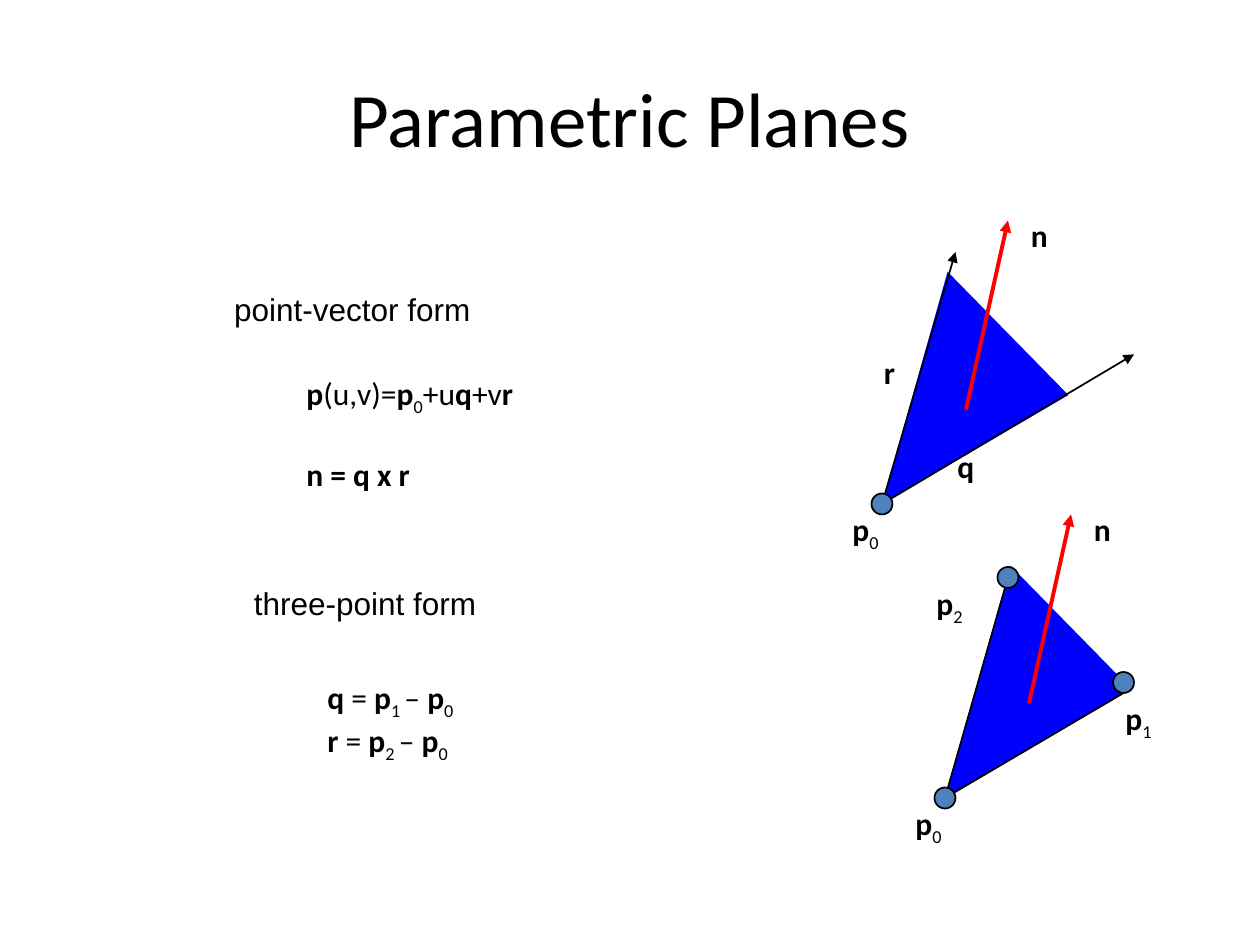
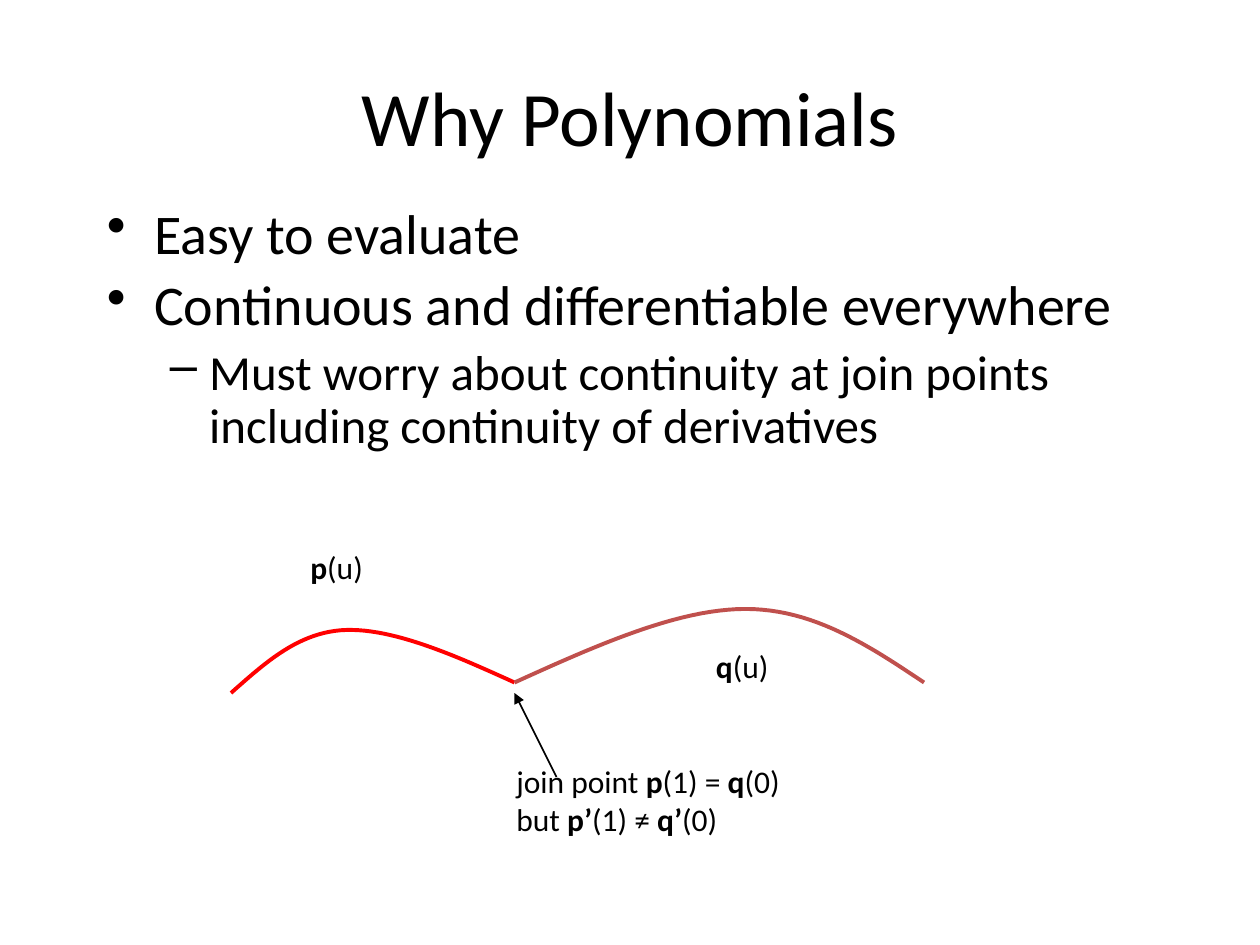
from lxml.etree import SubElement
from pptx import Presentation
from pptx.dml.color import RGBColor
from pptx.enum.shapes import MSO_CONNECTOR, MSO_SHAPE
from pptx.enum.text import MSO_ANCHOR, PP_ALIGN
from pptx.oxml.ns import qn
from pptx.util import Pt

PX = 9525  # EMU per px, 96 px to the inch
BLACK = RGBColor(0x00, 0x00, 0x00)
BLUE = RGBColor(0x00, 0x00, 0xFF)
STEEL = RGBColor(0x4F, 0x81, 0xBD)
RED = RGBColor(0xFF, 0x00, 0x00)
BRICK = RGBColor(0xC0, 0x50, 0x4D)

LABEL = {"name": "Calibri", "size": Pt(18)}
HEADING = {"name": "Arial", "size": Pt(18)}
TITLE = {"name": "Calibri", "size": Pt(44)}


def write_text(slide, box, paragraphs, style=LABEL):
    """Runs are split by |; a leading * means bold, a leading _ subscript."""
    frame = slide.shapes.add_textbox(*(v * PX for v in box)).text_frame
    frame.word_wrap = True
    for number, markup in enumerate(paragraphs):
        paragraph = frame.add_paragraph() if number else frame.paragraphs[0]
        for piece in markup.split("|"):
            run = paragraph.add_run()
            run.text = piece.lstrip("*_")
            run.font.color.rgb = BLACK
            for name, value in style.items():
                setattr(run.font, name, value)
            run.font.bold = piece.startswith("*")
            if piece.startswith("_"):
                run._r.get_or_add_rPr().set("baseline", "-25000")
    return frame


def draw_line(slide, start, end, color=BLACK, width=1, arrow=True):
    line = slide.shapes.add_connector(
        MSO_CONNECTOR.STRAIGHT, *(v * PX for v in start + end))
    line.line.color.rgb = color
    line.line.width = Pt(width)
    if arrow:
        SubElement(line.line._get_or_add_ln(), qn("a:tailEnd"), type="triangle")
    SubElement(line._element.spPr, qn("a:effectLst"))


deck = Presentation()
deck.slide_width, deck.slide_height = 960 * PX, 720 * PX
planes, polynomials = (deck.slides.add_slide(deck.slide_layouts[6]) for _ in range(2))

# Titles
for slide, box, title in [
    (planes, (48, 29, 864, 120), "Parametric Planes"),
    (polynomials, (72, 48, 816, 80), "Why Polynomials"),
]:
    frame = write_text(slide, box, [title], TITLE)
    frame.vertical_anchor = MSO_ANCHOR.MIDDLE
    frame.paragraphs[0].alignment = PP_ALIGN.CENTER

# Parametric planes: the two forms
write_text(planes, (169, 216, 259, 48), ["point-vector form"], HEADING)
equations = write_text(planes, (224, 280, 245, 125),
                       ["*p|(u,v)=|*p|_0|+u|*q|+v|*r", "*n = q x r"])
equations.paragraphs[1].space_before = Pt(22)
write_text(planes, (184, 440, 245, 48), ["three-point form"], HEADING)
write_text(planes, (240, 512, 157, 86),
           ["*q| = |*p|_1 |– |*p|_0", "*r| = |*p|_2 |– |*p|_0"])

# Both planes share a triangle, a normal and the point p0
for dx, dy, edge_ends, arrow, dots, labels in [
    (0, 0, [(864, 270), (728, 192)], True, [],
     [(720, 336, "*q"), (664, 264, "*r")]),
    (48, 224, [(856, 528), (768, 440)], False, [(848, 512), (760, 432)],
     [(848, 528, "*p|_1"), (704, 440, "*p|_2")]),
]:
    corner = (672 + dx, 384 + dy)
    outline = planes.shapes.build_freeform(*corner, scale=PX)
    outline.add_line_segments([(814 + dx, 301 + dy), (722 + dx, 207 + dy)])
    triangle = outline.convert_to_shape()
    triangle.shadow.inherit = False
    triangle.fill.solid()
    triangle.fill.fore_color.rgb = BLUE
    triangle.line.fill.background()

    for end in edge_ends:
        draw_line(planes, corner, end, arrow=arrow)
    for left, top in [(664 + dx, 376 + dy)] + dots:
        dot = planes.shapes.add_shape(
            MSO_SHAPE.OVAL, left * PX, top * PX, 16 * PX, 16 * PX)
        dot.shadow.inherit = False
        dot.fill.solid()
        dot.fill.fore_color.rgb = STEEL
        dot.line.color.rgb = BLACK
        dot.line.width = Pt(1)
    draw_line(planes, (736 + dx, 312 + dy), (768 + dx, 168 + dy), RED, 2.25)
    shared_labels = [(640 + dx, 384 + dy, "*p|_0"), (776 + dx, 160 + dy, "*n")]
    for left, top, label in shared_labels + labels:
        write_text(planes, (left, top, 50, 48), [label])

# Why polynomials: bullets
points = [
    ("Easy to evaluate", 0),
    ("Continuous and differentiable everywhere", 0),
    ("Must worry about continuity at join points including continuity of derivatives", 1),
]
body = write_text(polynomials, (72, 152, 816, 264), [text for text, _ in points])
for number, (paragraph, (_, level)) in enumerate(zip(body.paragraphs, points)):
    margin, hanging, bullet, size = [(36, 36, "•", 32), (78, 30, "–", 28)][level]
    properties = paragraph._p.get_or_add_pPr()
    properties.set("marL", str(margin * PX))
    properties.set("indent", str(-hanging * PX))
    SubElement(properties, qn("a:buChar"), char=bullet)
    paragraph.level = level
    paragraph.line_spacing = 0.9
    if number:
        paragraph.space_before = Pt(size * 0.2)
    paragraph.runs[0].font.size = Pt(size)

# Two joined curves, each made of two cubic pieces
FINE = 100  # drawing units per px
STEPS = 24
for color, knots in [
    (RED, [(176, 528), (202, 505), (228, 481), (264, 480),
           (300, 479), (346, 499), (392, 520)]),
    (BRICK, [(392, 520), (454, 492), (516, 464), (568, 464),
             (620, 464), (662, 492), (704, 520)]),
]:
    curve_points = []
    for first in (0, 3):
        for step in range(1, STEPS + 1):
            u = step / STEPS
            weights = ((1 - u) ** 3, 3 * u * (1 - u) ** 2, 3 * u * u * (1 - u), u ** 3)
            curve_points.append(tuple(
                round(FINE * sum(w * knot[axis] for w, knot in
                                 zip(weights, knots[first:first + 4])))
                for axis in (0, 1)))
    outline = polynomials.shapes.build_freeform(
        knots[0][0] * FINE, knots[0][1] * FINE, scale=PX / FINE)
    outline.add_line_segments(curve_points, close=False)
    curve = outline.convert_to_shape()
    curve.shadow.inherit = False
    curve.fill.background()
    curve.line.color.rgb = color
    curve.line.width = Pt(2.25)

# Curve labels and join point
write_text(polynomials, (227, 413, 75, 48), ["*p|(u)"])
write_text(polynomials, (536, 488, 75, 48), ["*q|(u)"])
draw_line(polynomials, (424, 592), (392, 528))
write_text(polynomials, (384, 576, 295, 86),
           ["join point |*p|(1) = |*q|(0)", "but |*p’|(1) ≠ |*q’|(0)"])

deck.save("out.pptx")
